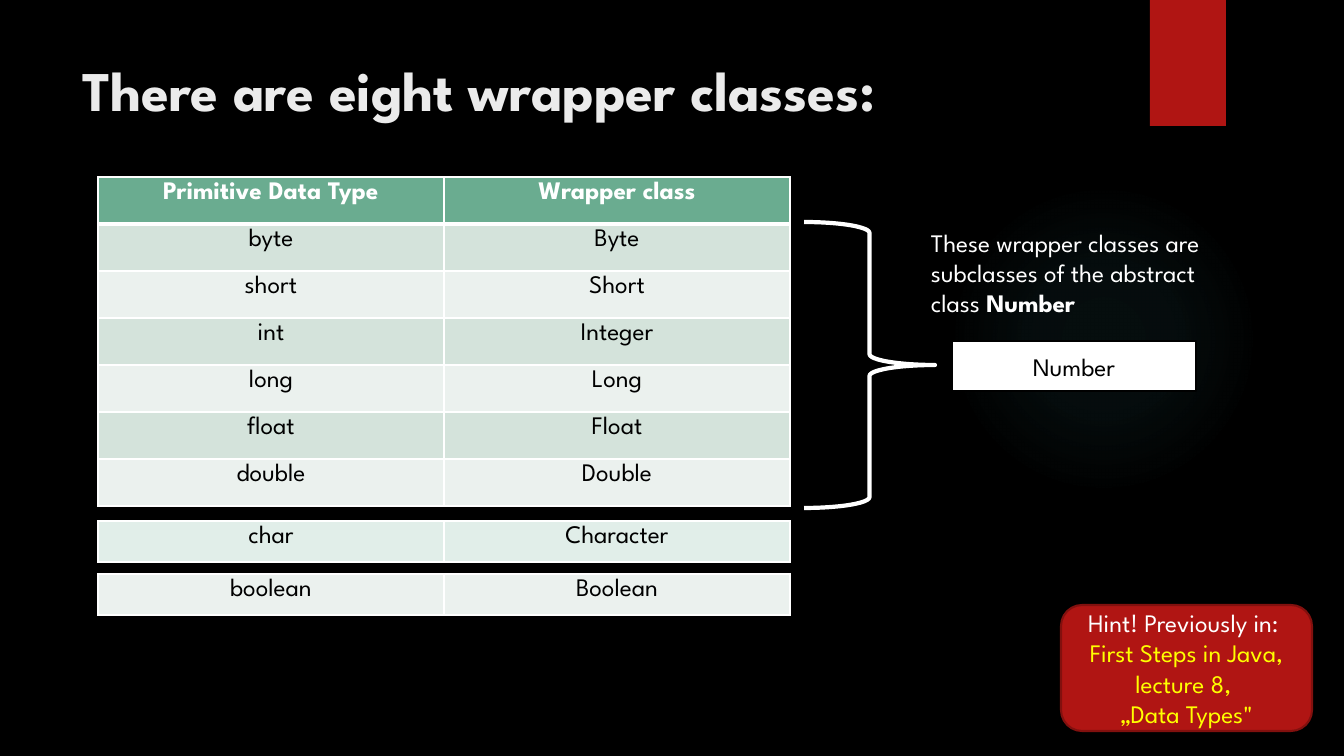
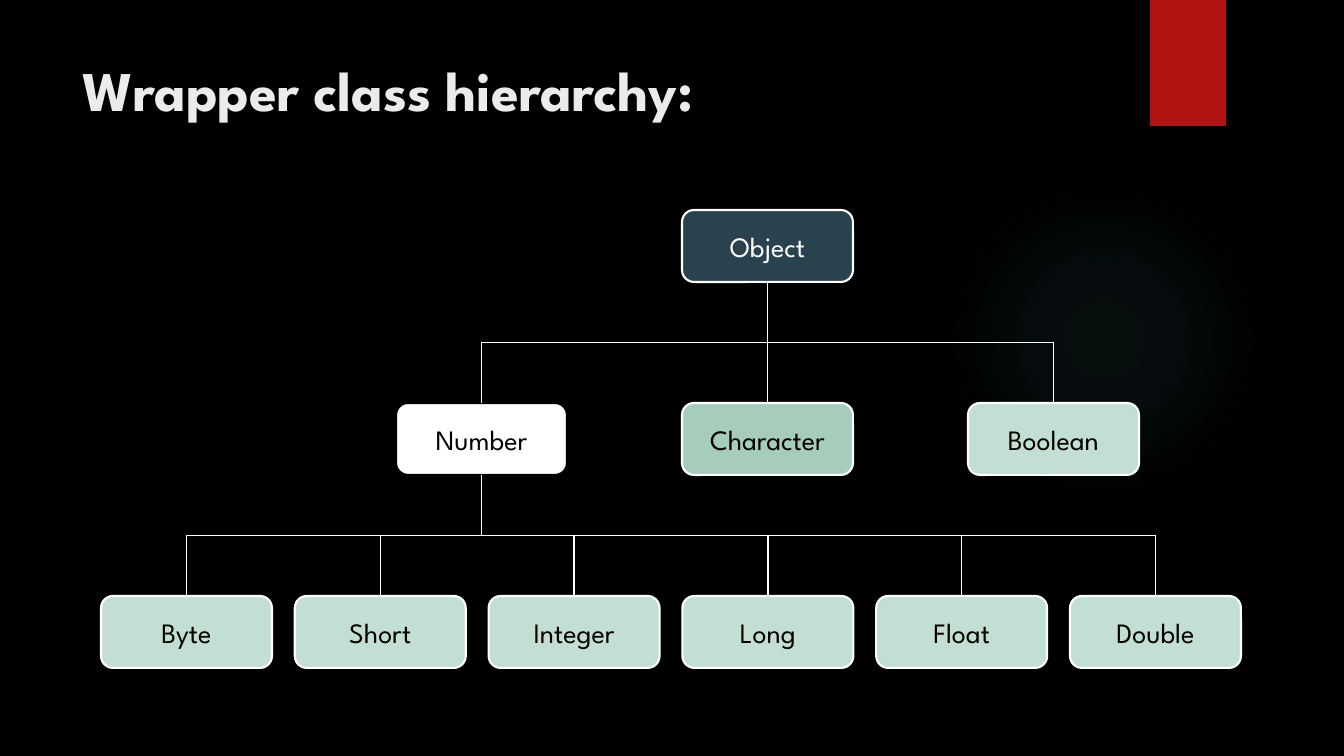
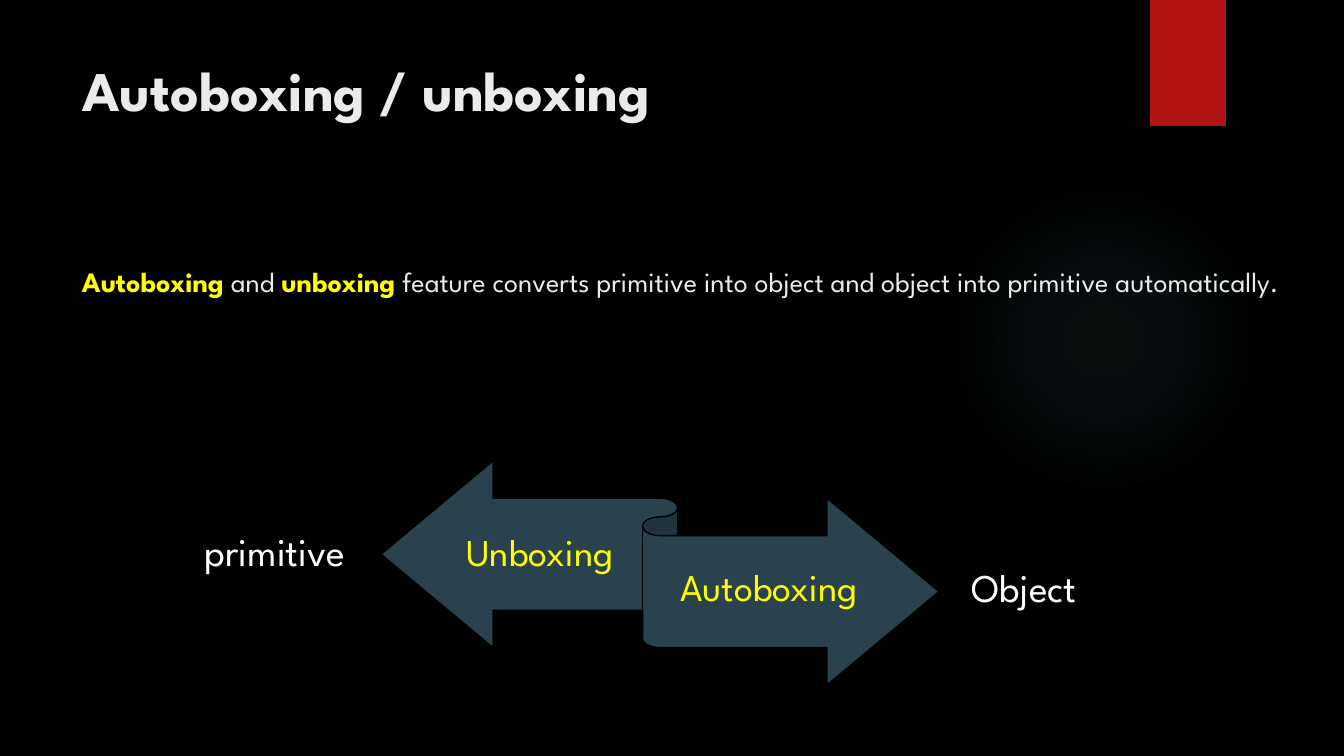
from lxml.etree import SubElement
from pptx import Presentation
from pptx.dml.color import RGBColor
from pptx.enum.shapes import MSO_CONNECTOR, MSO_SHAPE as Shape
from pptx.enum.text import MSO_ANCHOR as Anchor, MSO_AUTO_SIZE, PP_ALIGN as Align
from pptx.oxml import parse_xml
from pptx.oxml.ns import nsdecls, qn
from pptx.util import Emu, Pt

FONT = "League Spartan"
BLACK, WHITE, YELLOW = "000000", "FFFFFF", "FFFF00"
TITLE_COLOR, RED, DARK_RED = "EBEBEB", "B01513", "82100E"
SLATE, GREEN, MINT, PALE_MINT = "2A424D", "6AAC90", "A6CDBC", "C3DED3"
BAND_DARK, BAND_LIGHT, BAND_CHAR = "D4E3DB", "EBF1EE", "E1EEE9"

TABLE_LEFT, COLUMN_WIDTH = 98, 346
NUMBER_ROWS = [
    ("Primitive Data Type", "Wrapper class"),
    ("byte", "Byte"),
    ("short", "Short"),
    ("int", "Integer"),
    ("long", "Long"),
    ("float", "Float"),
    ("double", "Double"),
]
NUMBER_FILLS = [GREEN] + [BAND_DARK, BAND_LIGHT] * 3
SINGLE_ROWS = [
    (521, ("char", "Character"), BAND_CHAR),
    (574, ("boolean", "Boolean"), BAND_LIGHT),
]
NUMBER_NOTE = [[
    ("These wrapper classes are subclasses of the abstract class ", WHITE, False),
    ("Number", WHITE, True),
]]
HINT = [
    [("Hint! Previously in: ", WHITE, False)],
    [("First Steps in Java, lecture 8, ", YELLOW, False)],
    [("„Data Types\"", YELLOW, False)],
]

NODE_WIDTH, NODE_HEIGHT = 171, 72
TREE_LEVELS = [
    (210, 682, 682, [("Object", SLATE, WHITE, WHITE)]),
    (403, 396, 968, [
        ("Number", WHITE, BLACK, BLACK),
        ("Character", MINT, WHITE, BLACK),
        ("Boolean", PALE_MINT, WHITE, BLACK),
    ]),
    (596, 101, 1070, [
        (name, PALE_MINT, WHITE, BLACK)
        for name in ("Byte", "Short", "Integer", "Long", "Float", "Double")
    ]),
]

BOXING_TEXT = [[
    ("Autoboxing", YELLOW, True),
    (" and ", TITLE_COLOR, False),
    ("unboxing", YELLOW, True),
    (" feature converts primitive into object and object into primitive automatically.",
     TITLE_COLOR, False),
]]
RIBBON_LABELS = [("Unboxing", (448, 500, 184, 110)), ("Autoboxing", (660, 535, 218, 110))]
END_LABELS = [("primitive", (168, 522, 214, 57)), ("Object", (917, 558, 214, 57))]


def px(value):
    return Emu(round(value * 914400 / 100.8))


def rgb(color):
    return RGBColor.from_string(color)


def place(shape, box):
    shape.left, shape.top, shape.width, shape.height = map(px, box)


def write(frame, content, size, color=WHITE, bold=False, align=Align.CENTER):
    paragraphs = [[(content, color, bold)]] if isinstance(content, str) else content
    for index, runs in enumerate(paragraphs):
        paragraph = frame.add_paragraph() if index else frame.paragraphs[0]
        paragraph.alignment = align
        font = paragraph.font
        font.name, font.size = FONT, Pt(size)
        font.bold, font.color.rgb = runs[0][2], rgb(runs[0][1])
        for text, run_color, run_bold in runs:
            run = paragraph.add_run()
            run.text = text
            if len(runs) > 1:
                run.font.bold, run.font.color.rgb = run_bold, rgb(run_color)


def add_box(shapes, kind, box, fill=None, line=None, line_width=1):
    shape = shapes.add_shape(kind, *map(px, box))
    shape.shadow.inherit = False
    if fill:
        shape.fill.solid()
        shape.fill.fore_color.rgb = rgb(fill)
    else:
        shape.fill.background()
    if line:
        shape.line.color.rgb = rgb(line)
        shape.line.width = Pt(line_width)
    else:
        shape.line.fill.background()
    shape.text_frame.vertical_anchor = Anchor.MIDDLE
    return shape


def add_text(shapes, box, content, size, **style):
    frame = shapes.add_textbox(*map(px, box)).text_frame
    frame.word_wrap = True
    write(frame, content, size, **style)
    return frame


def add_line(shapes, start, end):
    line = shapes.add_connector(MSO_CONNECTOR.STRAIGHT, *map(px, start + end))
    line.line.color.rgb = rgb(WHITE)
    line.line.width = Pt(1)
    SubElement(line.element.spPr, qn("a:effectLst"))


def set_borders(cell, top, bottom):
    properties = cell._tc.get_or_add_tcPr()
    widths = (("lnL", 1), ("lnR", 1), ("lnT", top), ("lnB", bottom))
    for index, (tag, width) in enumerate(widths):
        properties.insert(index, parse_xml(
            f'<a:{tag} {nsdecls("a")} w="{Pt(width)}"><a:solidFill>'
            f'<a:srgbClr val="{WHITE}"/></a:solidFill></a:{tag}>'))


def add_grid(shapes, top, row_height, rows, fills, header=False):
    columns = len(rows[0])
    box = (TABLE_LEFT, top, COLUMN_WIDTH * columns, row_height * len(rows))
    table = shapes.add_table(len(rows), columns, *map(px, box)).table
    table.first_row, table.horz_banding = header, False
    for row, (texts, fill) in enumerate(zip(rows, fills)):
        is_header = header and row == 0
        for column, text in enumerate(texts):
            cell = table.cell(row, column)
            cell.fill.solid()
            cell.fill.fore_color.rgb = rgb(fill)
            write(cell.text_frame, text, 18, WHITE if is_header else BLACK, is_header)
            set_borders(cell, 3 if header and row == 1 else 1, 3 if is_header else 1)


def decorate(layout, slide):
    glow = add_box(slide.shapes, Shape.OVAL, (949, 184, 310, 310))
    stops = "".join(
        f'<a:gs pos="{position}000"><a:srgbClr val="50B9C1">'
        f'<a:alpha val="{alpha}000"/></a:srgbClr></a:gs>'
        for position, alpha in ((0, 7), (36, 6), (69, 0)))
    properties = glow.element.spPr
    properties.replace(properties.find(qn("a:noFill")), parse_xml(
        f'<a:gradFill {nsdecls("a")}><a:gsLst>{stops}</a:gsLst><a:path path="circle">'
        '<a:fillToRect l="50000" t="50000" r="50000" b="50000"/></a:path></a:gradFill>'))
    ribbon = add_box(slide.shapes, Shape.RECTANGLE, (1150, 0, 76, 126), RED)
    ribbon.element.spPr.find(qn("a:effectLst")).append(parse_xml(
        f'<a:outerShdw {nsdecls("a")} blurRad="{Pt(3)}" dist="{Pt(2)}" dir="5400000">'
        f'<a:srgbClr val="{BLACK}"><a:alpha val="45000"/></a:srgbClr></a:outerShdw>'))
    for index, shape in enumerate((glow, ribbon)):
        shape.element.nvSpPr.cNvPr.set("id", str(20 + index))
        layout.shapes.element.insert(2 + index, shape.element)


def add_slide(presentation, title, title_height):
    slide = presentation.slides.add_slide(presentation.slide_layouts[5])
    place(slide.shapes.title, (72, 50, 1037, title_height))
    frame = slide.shapes.title.text_frame
    frame.auto_size, frame.vertical_anchor = MSO_AUTO_SIZE.NONE, Anchor.TOP
    write(frame, title, 40, TITLE_COLOR, True, Align.LEFT)
    return slide


def build_classes(slide):
    shapes = slide.shapes
    add_grid(shapes, 177, 47, NUMBER_ROWS, NUMBER_FILLS, header=True)
    for top, row, fill in SINGLE_ROWS:
        add_grid(shapes, top, 41, [row], [fill])
    add_box(shapes, Shape.RIGHT_BRACE, (804, 222, 131, 286), line=WHITE, line_width=3)
    add_text(shapes, (921, 222, 304, 102), NUMBER_NOTE, 18, align=Align.LEFT)
    number = add_box(shapes, Shape.RECTANGLE, (952, 341, 244, 50), WHITE, BLACK)
    write(number.text_frame, "Number", 18, BLACK)
    hint = add_box(shapes, Shape.FLOWCHART_ALTERNATE_PROCESS, (1061, 605, 251, 126),
                   RED, DARK_RED, 1.5)
    write(hint.text_frame, HINT, 18)


def add_fork(shapes, trunk, top, bottom, branches):
    bar = (top + bottom) / 2
    add_line(shapes, (trunk, top), (trunk, bar))
    add_line(shapes, (branches[0], bar), (branches[-1], bar))
    for branch in branches:
        add_line(shapes, (branch, bar), (branch, bottom))


def build_hierarchy(slide):
    parent = None
    for top, first, last, nodes in TREE_LEVELS:
        step = (last - first) / max(len(nodes) - 1, 1)
        lefts = [first + step * index for index in range(len(nodes))]
        centers = [left + NODE_WIDTH / 2 for left in lefts]
        for left, (name, fill, line, color) in zip(lefts, nodes):
            node = add_box(slide.shapes, Shape.ROUNDED_RECTANGLE,
                           (left, top, NODE_WIDTH, NODE_HEIGHT), fill, line, 1.5)
            write(node.text_frame, name, 20, color)
        if parent:
            add_fork(slide.shapes, *parent, top, centers)
        parent = (centers[0], top + NODE_HEIGHT)


def build_boxing(slide):
    add_text(slide.shapes, (72, 260, 1223, 89), BOXING_TEXT, 20, align=Align.LEFT)
    group = slide.shapes.add_group_shape()
    add_box(group.shapes, Shape.LEFT_RIGHT_RIBBON, (381, 461, 558, 224), SLATE, BLACK)
    for label, box in RIBBON_LABELS:
        frame = add_text(group.shapes, box, label, 27, color=YELLOW)
        frame.vertical_anchor = Anchor.MIDDLE
        frame.margin_left = frame.margin_right = 0
        frame.margin_top, frame.margin_bottom = px(10), px(11)
        frame.paragraphs[0].line_spacing = 0.9
        frame.paragraphs[0].space_after = Pt(9)
    for label, box in END_LABELS:
        add_text(slide.shapes, box, label, 28)


SLIDES = [
    ("There are eight wrapper classes:", 154, build_classes),
    ("Wrapper class hierarchy:", 80, build_hierarchy),
    ("Autoboxing / unboxing", 89, build_boxing),
]


def main():
    presentation = Presentation()
    presentation.slide_width, presentation.slide_height = px(1344), px(756)
    background = presentation.slide_master.background.fill
    background.solid()
    background.fore_color.rgb = rgb(BLACK)
    for index, (title, title_height, build) in enumerate(SLIDES):
        slide = add_slide(presentation, title, title_height)
        if index == 0:
            decorate(slide.slide_layout, slide)
        build(slide)
    presentation.save("out.pptx")


if __name__ == "__main__":
    main()
